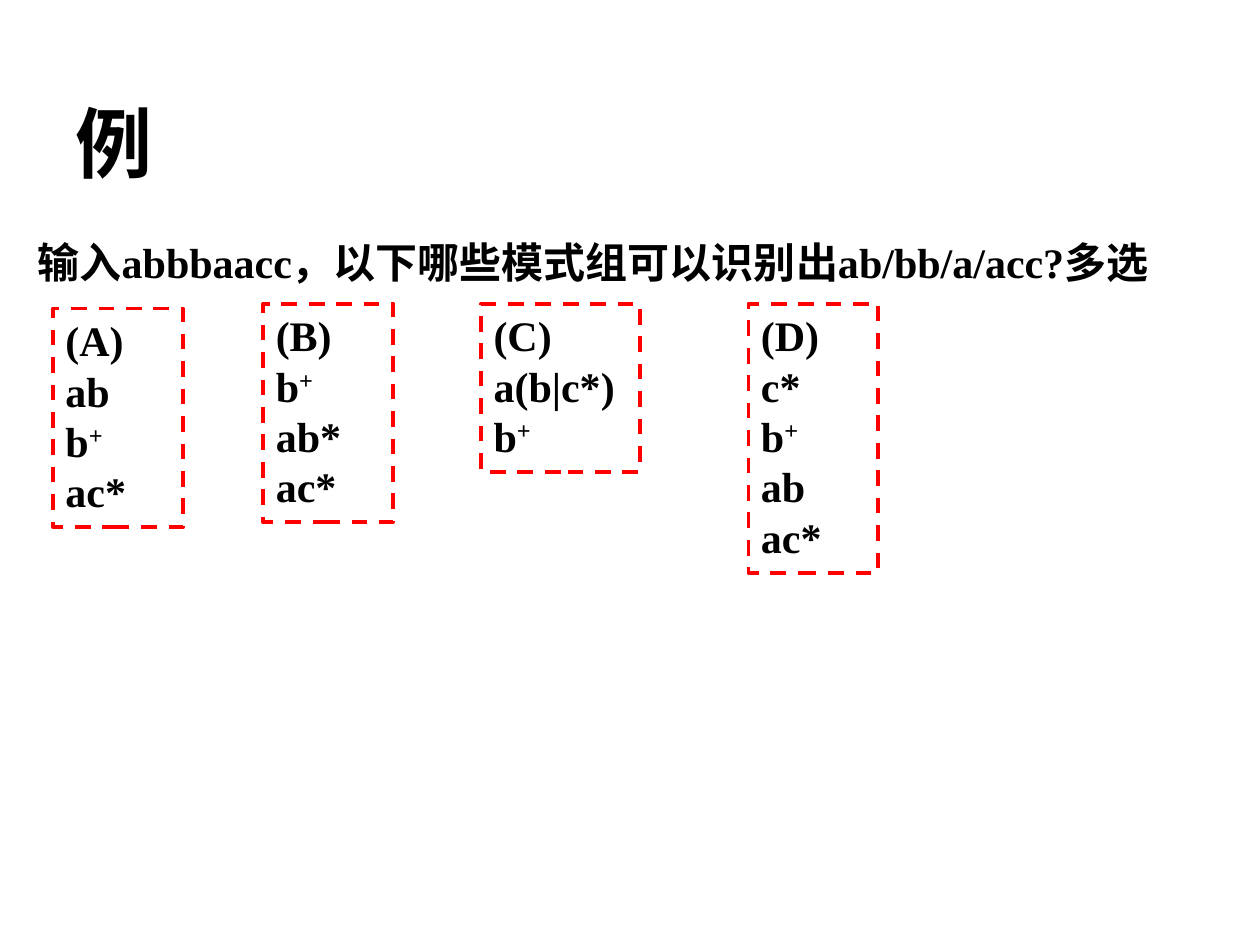
import pptx
import pptx.dml.color
import pptx.enum.dml
import pptx.enum.shapes
import pptx.enum.text
import pptx.oxml
import pptx.oxml.ns
import pptx.util
from pptx.util import Cm

COLORS = {"text": "000000", "frame": "FF0000"}
LATIN, CJK = "Times New Roman", "Noto Sans CJK SC"


def rgb(name):
    return pptx.dml.color.RGBColor.from_string(COLORS[name])


class SlideBuilder:
    """Holds the text style and the current slide."""

    style = {"name": LATIN, "size": pptx.util.Pt(24), "bold": True}

    def __init__(self, s):
        self.s = s

    def run(self, p, text, baseline=None, **changes):
        r = p.add_run()
        r.text = text
        for key, value in {**self.style, **changes}.items():
            setattr(r.font, key, value)
        r.font.color.rgb = rgb("text")
        rPr = r._r.get_or_add_rPr()
        ea = pptx.oxml.parse_xml(f'<a:ea {pptx.oxml.ns.nsdecls("a")} typeface="{CJK}"/>')
        rPr.append(ea)
        if baseline:
            rPr.set("baseline", str(baseline))

    def title(self, text, left, top, width, height):
        sp = self.s.shapes.title
        sp.left, sp.top, sp.width, sp.height = map(Cm, (left, top, width, height))
        tf = sp.text_frame
        tf.vertical_anchor = pptx.enum.text.MSO_ANCHOR.MIDDLE
        p = tf.paragraphs[0]
        p.alignment = pptx.enum.text.PP_ALIGN.LEFT
        self.run(p, text, name=CJK, size=pptx.util.Pt(44))

    def question(self, text, left, top, width, height):
        sp = self.s.shapes.add_textbox(*map(Cm, (left, top, width, height)))
        sp.text_frame.word_wrap = True
        p = sp.text_frame.paragraphs[0]
        p.line_spacing = 1.2
        self.run(p, text)

    def option(self, lines, left, top, width):
        """Dashed frame as tall as its lines; a "+" is a superscript."""
        height = 0.33 + 1.02 * len(lines)
        sp = self.s.shapes.add_shape(pptx.enum.shapes.MSO_SHAPE.RECTANGLE,
                                     *map(Cm, (left, top, width, height)))
        sp.shadow.inherit = False
        sp.fill.background()
        sp.line.color.rgb = rgb("frame")
        sp.line.width = pptx.util.Pt(2.25)
        sp.line.dash_style = pptx.enum.dml.MSO_LINE.DASH
        tf = sp.text_frame
        tf.word_wrap = True
        tf.auto_size = pptx.enum.text.MSO_AUTO_SIZE.SHAPE_TO_FIT_TEXT
        tf.vertical_anchor = pptx.enum.text.MSO_ANCHOR.TOP
        for i, line in enumerate(lines):
            p = tf.add_paragraph() if i else tf.paragraphs[0]
            p.alignment = pptx.enum.text.PP_ALIGN.LEFT
            base, plus, _ = line.partition("+")
            self.run(p, base)
            if plus:
                self.run(p, plus, baseline=30000)


def main():
    prs = pptx.Presentation()
    prs.slide_width, prs.slide_height = Cm(25.4), Cm(19.05)
    slide = SlideBuilder(prs.slides.add_slide(prs.slide_layouts[5]))

    # Title and question
    slide.title("例", 1.27, 1.78, 22.86, 2.16)
    slide.question("输入abbbaacc，以下哪些模式组可以识别出ab/bb/a/acc?多选",
                   0.51, 4.45, 24.61, 1.68)

    # Pattern groups to choose from: left, top, width, lines
    options = [
        (1.07, 6.22, 2.62, ["(A)", "ab", "b+", "ac*"]),
        (5.31, 6.12, 2.62, ["(B)", "b+", "ab*", "ac*"]),
        (9.7, 6.12, 3.2, ["(C)", "a(b|c*)", "b+"]),
        (15.09, 6.12, 2.62, ["(D)", "c*", "b+", "ab", "ac*"]),
    ]
    for left, top, width, lines in options:
        slide.option(lines, left, top, width)

    prs.save("out.pptx")


if __name__ == "__main__":
    main()
